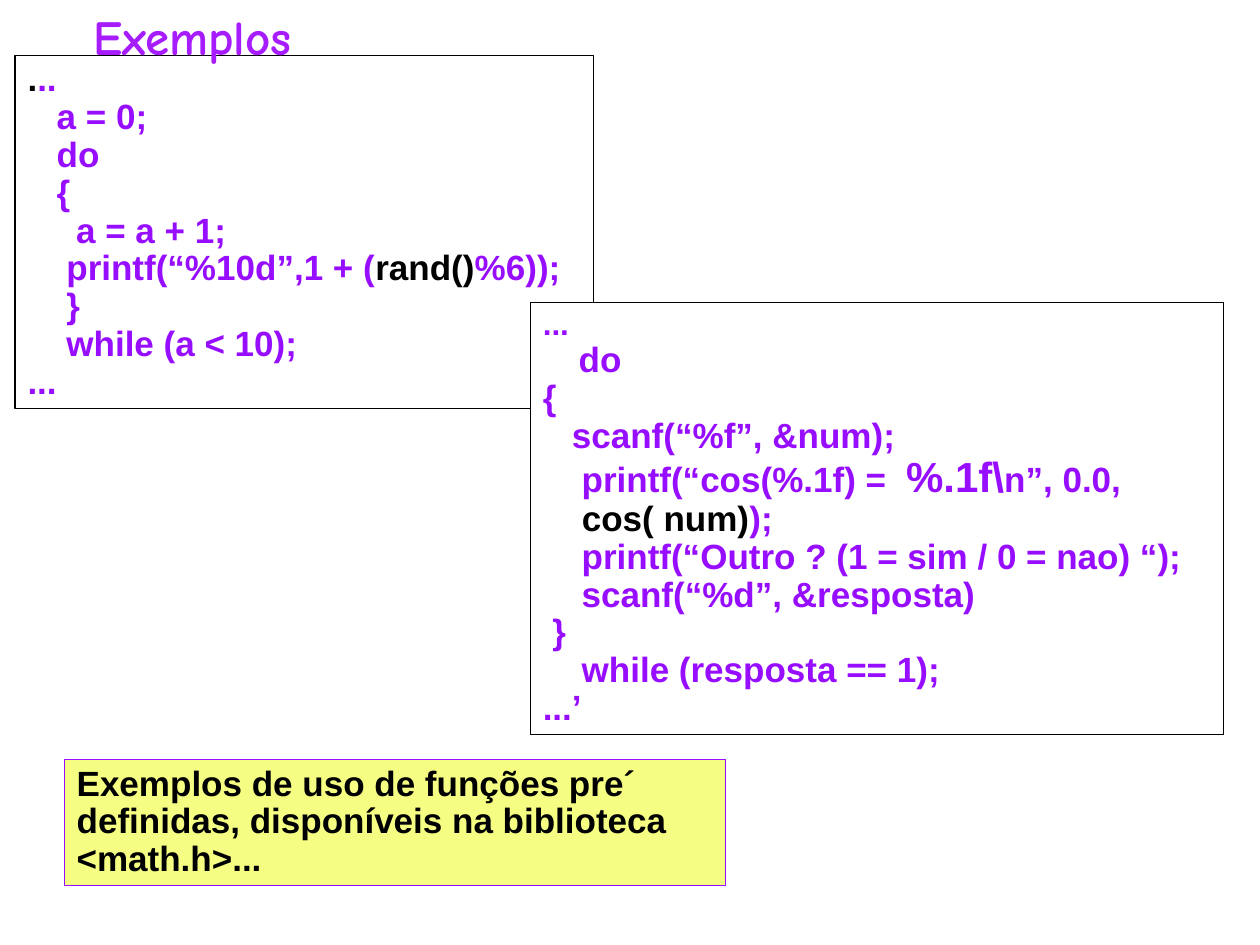
from dataclasses import dataclass

from pptx import Presentation
from pptx.dml.color import RGBColor
from pptx.enum.shapes import MSO_SHAPE
from pptx.enum.text import MSO_ANCHOR, MSO_AUTO_SIZE, PP_ALIGN
from pptx.util import Inches, Pt


@dataclass(frozen=True)
class Theme:
    body_font: str = "Arial"
    title_font: str = "Comic Neue"
    black: str = "000000"
    white: str = "FFFFFF"
    code: str = "970DFF"
    title: str = "A71CFC"
    note: str = "F5FE82"
    small: int = 18
    body: int = 20
    large: int = 24
    heading: int = 28
    border: float = 0.75
    spacing: float = 0.9


class SlideBuilder:
    def __init__(self, page, theme):
        self.page = page
        self.theme = theme

    def fill_text(self, box, lines, color, font, size, spacing=None, wrap=True):
        frame = box.text_frame
        frame_format = {
            "word_wrap": wrap,
            "auto_size": MSO_AUTO_SIZE.SHAPE_TO_FIT_TEXT,
            "vertical_anchor": MSO_ANCHOR.TOP,
            "margin_left": Inches(0.1),
            "margin_right": Inches(0.1),
            "margin_top": Inches(0.05),
            "margin_bottom": Inches(0.05),
        }
        for name, value in frame_format.items():
            setattr(frame, name, value)
        for index, line in enumerate(lines):
            para = frame.add_paragraph() if index else frame.paragraphs[0]
            para.alignment = PP_ALIGN.LEFT
            para.line_spacing = spacing
            spans = [(line, {})] if isinstance(line, str) else line
            for text, changes in spans:
                span = para.add_run()
                span.text = text
                font_format = {
                    "name": font,
                    "size": Pt(changes.get("size", size)),
                    "bold": True,
                }
                for name, value in font_format.items():
                    setattr(span.font, name, value)
                span.font.color.rgb = RGBColor.from_string(changes.get("color", color))

    def panel(self, left, top, width, height, lines, fill, border, color):
        theme = self.theme
        box = self.page.shapes.add_shape(
            MSO_SHAPE.RECTANGLE, Inches(left), Inches(top), Inches(width), Inches(height)
        )
        box.shadow.inherit = False
        box.fill.solid()
        box.fill.fore_color.rgb = RGBColor.from_string(fill)
        box.line.color.rgb = RGBColor.from_string(border)
        box.line.width = Pt(theme.border)
        self.fill_text(box, lines, color, theme.body_font, theme.body, theme.spacing)

    def code_panel(self, left, top, width, height, lines):
        theme = self.theme
        self.panel(left, top, width, height, lines, theme.white, theme.black, theme.code)

    def note_panel(self, left, top, width, height, text):
        theme = self.theme
        self.panel(left, top, width, height, [text], theme.note, theme.code, theme.black)

    def title(self, left, top, width, height, text):
        theme = self.theme
        box = self.page.shapes.add_textbox(
            Inches(left), Inches(top), Inches(width), Inches(height)
        )
        self.fill_text(box, [text], theme.title, theme.title_font, theme.heading, wrap=False)


def main():
    deck = Presentation()
    deck.slide_width = Inches(10)
    deck.slide_height = Inches(7.5)
    page = deck.slides.add_slide(deck.slide_layouts[6])
    theme = Theme()
    builder = SlideBuilder(page, theme)
    black = {"color": theme.black}
    small = {"size": theme.small}
    large = {"size": theme.large}

    random_code = [
        [(".", black), ("..", {})],
        "   a = 0;",
        "   do",
        "   {",
        "     a = a + 1;",
        [("    printf(“%10d”,1 + (", {}), ("rand()", black), ("%6));", {})],
        "    }",
        "    while (a < 10);",
        "...",
    ]
    cosine_code = [
        [("...", small)],
        [("   ", small), (" do", {})],
        "{",
        "   scanf(“%f”, &num);",
        [("    printf(“cos(%.1f) =  ", {}), ("%.1f\\", large), ("n”, 0.0,", {})],
        [("    ", {}), ("cos( num)", black), (");", {})],
        "    printf(“Outro ? (1 = sim / 0 = nao) “);",
        "    scanf(“%d”, &resposta)",
        " }",
        "    while (resposta == 1);",
        "...’",
    ]

    builder.code_panel(0.12, 0.44, 4.59, 2.8, random_code)
    builder.title(0.64, 0, 1.78, 0.57, "Exemplos")
    builder.note_panel(
        0.51, 6.03, 5.25, 1,
        "Exemplos de uso de funções pre´ definidas, disponíveis na biblioteca <math.h>...",
    )
    builder.code_panel(4.21, 2.4, 5.5, 3.43, cosine_code)
    deck.save("out.pptx")


if __name__ == "__main__":
    main()
